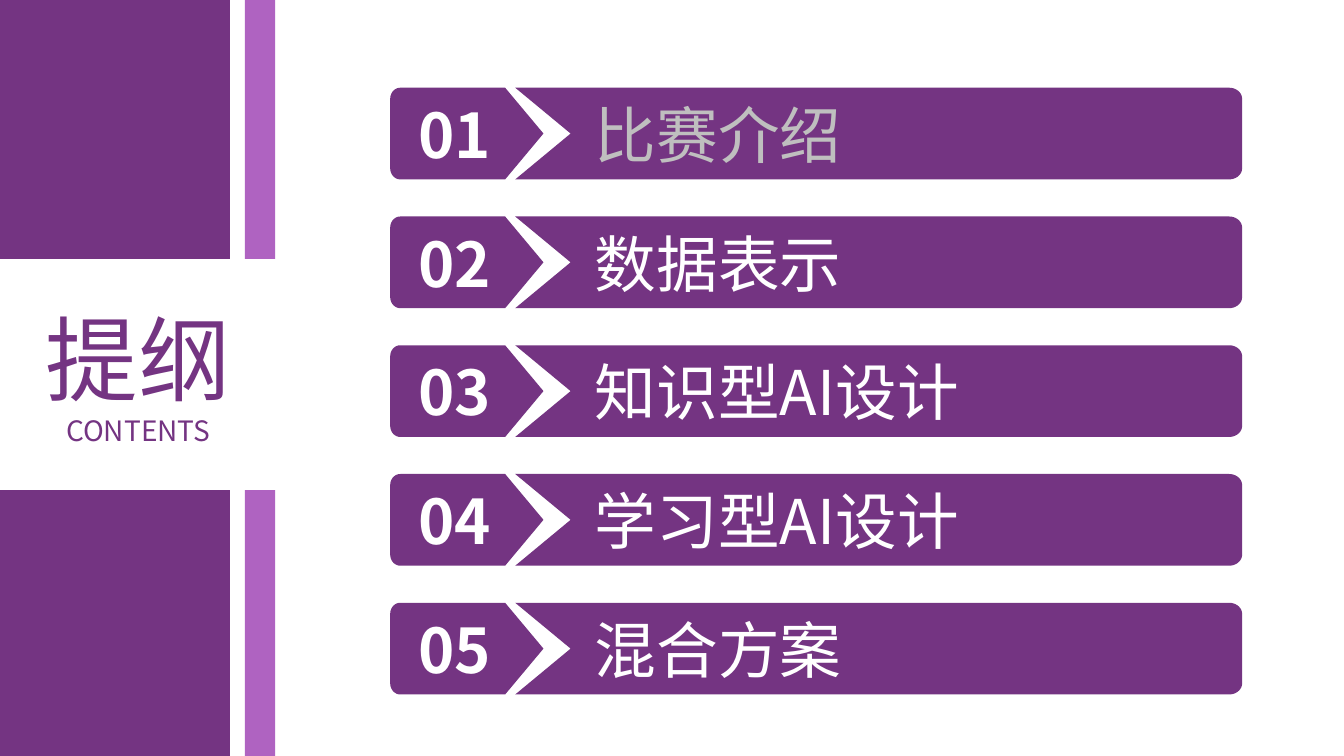
import math

import pptx
import pptx.dml.color
import pptx.enum.shapes
import pptx.enum.text
import pptx.oxml.ns
import pptx.util

Inches = pptx.util.Inches
RGBColor = pptx.dml.color.RGBColor
PP_ALIGN = pptx.enum.text.PP_ALIGN

PURPLE = RGBColor(0x74, 0x34, 0x82)
LILAC = RGBColor(0xAF, 0x63, 0xC1)
WHITE = RGBColor(0xFF, 0xFF, 0xFF)
GREY = RGBColor(0xBF, 0xBF, 0xBF)
FONT = "Noto Sans CJK SC"

TITLE = [("提纲", 66), ("CONTENTS", 20)]
TOPICS = [
    ("比赛介绍", GREY),
    ("数据表示", WHITE),
    ("知识型AI设计", WHITE),
    ("学习型AI设计", WHITE),
    ("混合方案", WHITE),
]
PANELS = [
    (0, 0, 2.28, 7.5, PURPLE),
    (2.43, 0, 0.3, 7.5, LILAC),
    (0, 2.57, 2.74, 2.29, WHITE),
]

FIRST_TOP, LAST_TOP, ROW_H = 0.87, 5.98, 0.91
ROW_STEP = (LAST_TOP - FIRST_TOP) / (len(TOPICS) - 1)
TAG_LEFT, TAG_SHOULDER, TAG_TIP = 3.87, 5.01, 5.39
BAR_LEFT, BAR_NOTCH, BAR_RIGHT = 5.11, 5.66, 12.32
TAG_RX, BAR_RX, CORNER_RY = 0.1, 0.13, 0.11


def paint(sp, color):
    sp.shadow.inherit = False
    sp.fill.solid()
    sp.fill.fore_color.rgb = color
    sp.line.fill.background()


def corner(cx, cy, rx, start):
    angles = [math.radians(start + 10 * i) for i in range(10)]
    return [(cx + rx * math.cos(a), cy + CORNER_RY * math.sin(a)) for a in angles]


def add_outline(slide, points):
    start, *rest = [(Inches(x), Inches(y)) for x, y in points]
    fb = slide.shapes.build_freeform(*start)
    fb.add_line_segments(rest, close=True)
    sp = fb.convert_to_shape()
    paint(sp, PURPLE)
    return sp


def write(sp, lines, color, align, left=0.1, right=0.1, bold=False):
    tf = sp.text_frame
    tf.word_wrap = True
    tf.vertical_anchor = pptx.enum.text.MSO_ANCHOR.MIDDLE
    tf.margin_left, tf.margin_right = Inches(left), Inches(right)
    tf.margin_top = tf.margin_bottom = Inches(0.05)
    for i, (text, size) in enumerate(lines):
        p = tf.add_paragraph() if i else tf.paragraphs[0]
        p.text = text
        p.alignment = align
        p.font.size = pptx.util.Pt(size)
        p.font.bold = bold
        p.font.color.rgb = color
        p.font.name = FONT
        props = p._p.get_or_add_pPr().find(pptx.oxml.ns.qn("a:defRPr"))
        ea = pptx.oxml.parse_xml(
            f'<a:ea {pptx.oxml.ns.nsdecls("a")} typeface="{FONT}"/>')
        props.append(ea)


def add_topic(slide, number, text, color):
    top = FIRST_TOP + (number - 1) * ROW_STEP
    bottom, middle = top + ROW_H, top + ROW_H / 2
    upper, lower = top + CORNER_RY, bottom - CORNER_RY

    bar = add_outline(slide, [
        (BAR_LEFT, top),
        *corner(BAR_RIGHT - BAR_RX, upper, BAR_RX, 270),
        *corner(BAR_RIGHT - BAR_RX, lower, BAR_RX, 0),
        (BAR_LEFT, bottom),
        (BAR_NOTCH, middle),
    ])
    write(bar, [(text, 44)], color, PP_ALIGN.LEFT, left=0.79)

    tag = add_outline(slide, [
        (TAG_SHOULDER, top),
        (TAG_TIP, middle),
        (TAG_SHOULDER, bottom),
        *corner(TAG_LEFT + TAG_RX, lower, TAG_RX, 90),
        *corner(TAG_LEFT + TAG_RX, upper, TAG_RX, 180),
    ])
    write(tag, [(f"{number:02d}", 44)], WHITE, PP_ALIGN.CENTER,
          left=0.11, right=0.35, bold=True)


def main():
    prs = pptx.Presentation()
    prs.slide_width, prs.slide_height = Inches(13.33), Inches(7.5)
    slide = prs.slides.add_slide(prs.slide_layouts[6])

    for *box, color in PANELS:
        panel = slide.shapes.add_shape(
            pptx.enum.shapes.MSO_SHAPE.RECTANGLE, *map(Inches, box))
        paint(panel, color)
    write(panel, TITLE, PURPLE, PP_ALIGN.CENTER)

    for number, (text, color) in enumerate(TOPICS, 1):
        add_topic(slide, number, text, color)

    prs.save("out.pptx")


if __name__ == "__main__":
    main()
